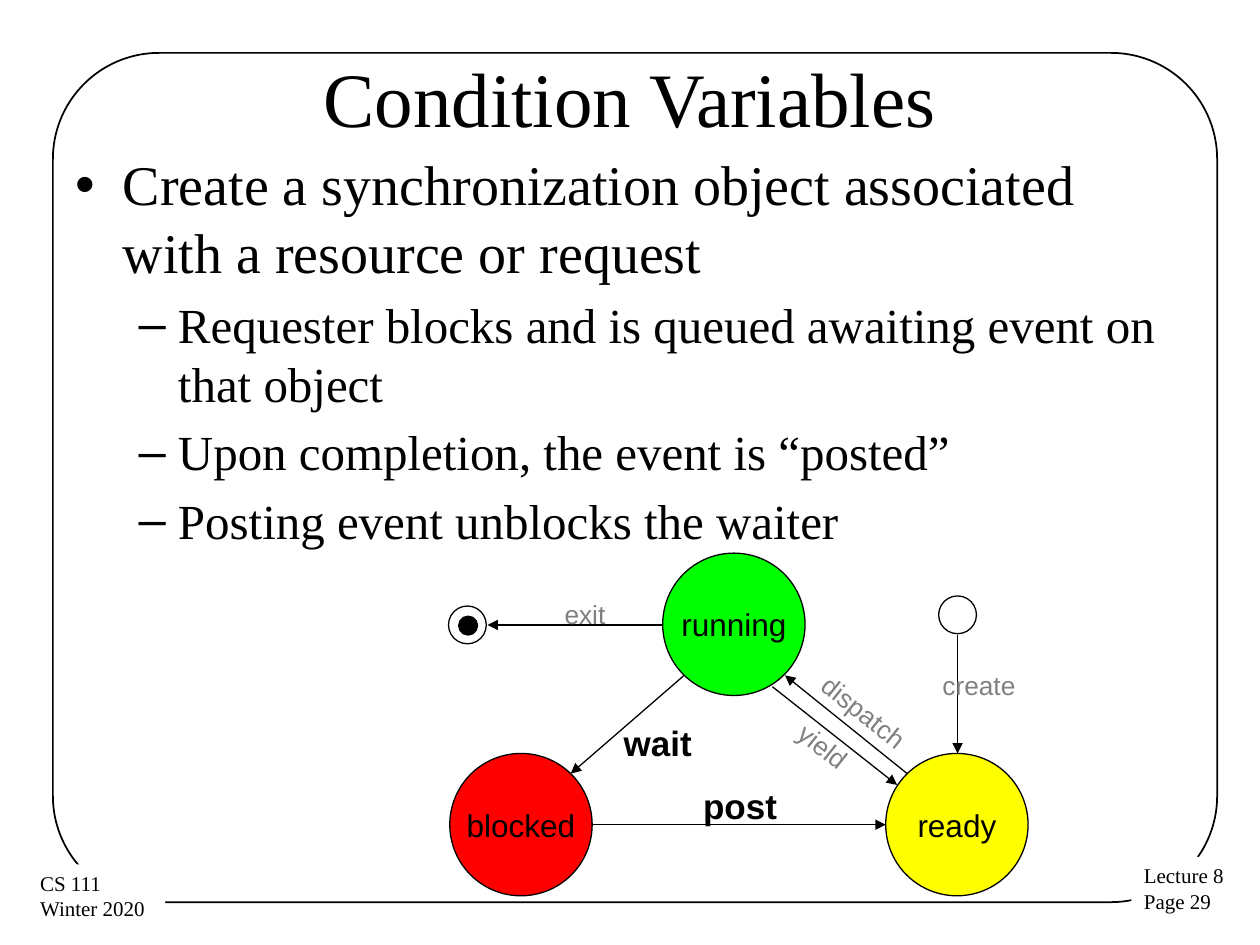
"""Build the Condition Variables slide with its process-state diagram."""
from dataclasses import dataclass
from typing import Optional

from lxml import etree
from pptx import Presentation
from pptx import util as u
from pptx.dml.color import RGBColor
from pptx.enum import shapes, text
from pptx.oxml.ns import qn

COLUMNS, ROWS = 100, 75
STATE_SIZE, MARKER_SIZE, DOT_SIZE = 11.3, 3, 1.5
LABEL_INSET = 0.9


@dataclass(frozen=True)
class Theme:
    """Colours, fonts and point sizes of the slide."""
    ink: str = "000000"
    paper: str = "FFFFFF"
    muted: str = "808080"
    running: str = "00FF00"
    blocked: str = "FF0000"
    ready: str = "FFFF00"
    serif: str = "Times New Roman"
    sans: str = "Arial"
    title: int = 44
    levels: tuple = (32, 28)
    footer: int = 12
    state: int = 18
    label: int = 15
    strong: int = 20
    thin: float = 0.75
    frame: float = 1


THEME = Theme()


@dataclass(frozen=True)
class Circle:
    """A round node, placed by its left column and top row."""
    left: float
    top: float
    size: float
    fill: Optional[str] = None
    caption: str = ""


@dataclass(frozen=True)
class Arrow:
    """A transition from one grid point to another."""
    start: tuple
    end: tuple


@dataclass(frozen=True)
class Label:
    """The name of a transition."""
    caption: str
    area: tuple
    strong: bool = False
    rotation: float = 0


@dataclass(frozen=True)
class Footer:
    """Lines of text that cover part of the frame."""
    lines: str
    area: tuple


BULLETS = (
    (0, "Create a synchronization object associated with a resource or request"),
    (1, "Requester blocks and is queued awaiting event on that object"),
    (1, "Upon completion, the event is “posted”"),
    (1, "Posting event unblocks the waiter"),
)
FOOTERS = (
    Footer("Lecture 8\nPage 29", (89.8, 68, 8.5, 5.1)),
    Footer("CS 111\nWinter 2020", (2.2, 68.6, 10.9, 5.1)),
)
CIRCLES = (
    Circle(35.7, 59.8, STATE_SIZE, THEME.blocked, "blocked"),
    Circle(70.3, 59.8, STATE_SIZE, THEME.ready, "ready"),
    Circle(52.6, 43.9, STATE_SIZE, THEME.running, "running"),
    Circle(35.6, 48.1, MARKER_SIZE),
    Circle(74.5, 47.3, MARKER_SIZE),
    Circle(36.4, 48.9, DOT_SIZE, THEME.ink),
)
ARROWS = (
    Arrow((47, 65.45), (70.3, 65.45)),
    Arrow((54.3, 53.6), (45.3, 61.4)),
    Arrow((72, 61.4), (62.3, 53.6)),
    Arrow((52.6, 49.6), (38.7, 49.6)),
    Arrow((76, 50.4), (76, 59.8)),
    Arrow((61.3, 54.5), (71.2, 62.3)),
)
LABELS = (
    Label("exit", (43.9, 47, 5.1, 3.4)),
    Label("post", (54.9, 61.8, 7.8, 4.3), strong=True),
    Label("create", (73.9, 52.6, 7.7, 3.4)),
    Label("wait", (48.6, 56.8, 7.3, 4.3), strong=True),
    Label("dispatch", (63.8, 54.8, 9.7, 3.4), rotation=38.5),
    Label("yield", (62.3, 57.5, 6.2, 3.4), rotation=38.5),
)

deck = Presentation()
deck.slide_width, deck.slide_height = u.Inches(10), u.Inches(7.5)
page = deck.slides.add_slide(deck.slide_layouts[1])


def across(columns: float) -> int:
    """Convert columns to a horizontal length."""
    return round(deck.slide_width * columns / COLUMNS)


def down(rows: float) -> int:
    """Convert rows to a vertical length."""
    return round(deck.slide_height * rows / ROWS)


def place(area: tuple) -> tuple:
    """Convert left, top, width and height from grid units."""
    left, top, width, height = area
    return across(left), down(top), across(width), down(height)


def style(para, font: str, size: float, colour: str, bold: bool = False) -> None:
    """Format every run of a paragraph."""
    for span in para.runs:
        span.font.name, span.font.size, span.font.bold = font, u.Pt(size), bold
        span.font.color.rgb = RGBColor.from_string(colour)


def add_box(kind, area: tuple, fill: Optional[str], line: Optional[float]):
    """Add a flat shape with an optional fill and outline."""
    box = page.shapes.add_shape(kind, *place(area))
    box.shadow.inherit = False
    if fill:
        box.fill.solid()
        box.fill.fore_color.rgb = RGBColor.from_string(fill)
    else:
        box.fill.background()
    if line:
        box.line.color.rgb = RGBColor.from_string(THEME.ink)
        box.line.width = u.Pt(line)
    else:
        box.line.fill.background()
    return box


def add_footer(footer: Footer) -> None:
    """Add a footer block over the frame."""
    box = add_box(shapes.MSO_SHAPE.RECTANGLE, footer.area, THEME.paper, None)
    box.text_frame.word_wrap = False
    box.text_frame.auto_size = text.MSO_AUTO_SIZE.SHAPE_TO_FIT_TEXT
    box.text_frame.vertical_anchor = text.MSO_ANCHOR.TOP
    box.text_frame.text = footer.lines
    for para in box.text_frame.paragraphs:
        para.alignment = text.PP_ALIGN.LEFT
        style(para, THEME.serif, THEME.footer, THEME.ink)


def add_circle(circle: Circle) -> None:
    """Add a state or a start or end marker."""
    area = (circle.left, circle.top, circle.size, circle.size)
    box = add_box(shapes.MSO_SHAPE.OVAL, area, circle.fill, THEME.thin)
    if circle.caption:
        frame = box.text_frame
        frame.word_wrap = False
        frame.margin_left = frame.margin_right = 0
        frame.text = circle.caption
        frame.paragraphs[0].alignment = text.PP_ALIGN.CENTER
        style(frame.paragraphs[0], THEME.sans, THEME.state, THEME.ink)


def add_arrow(arrow: Arrow) -> None:
    """Add a straight line with a triangular head at its end."""
    (x1, y1), (x2, y2) = arrow.start, arrow.end
    line = page.shapes.add_connector(
        shapes.MSO_CONNECTOR.STRAIGHT, across(x1), down(y1), across(x2), down(y2))
    line.line.color.rgb = RGBColor.from_string(THEME.ink)
    line.line.width = u.Pt(THEME.thin)
    etree.SubElement(line.line._get_or_add_ln(), qn("a:tailEnd"), type="triangle")
    etree.SubElement(line._element.spPr, qn("a:effectLst"))


def add_label(label: Label) -> None:
    """Add the name of a transition, with spare room on its right."""
    box = page.shapes.add_textbox(*place(label.area))
    box.rotation = label.rotation
    frame = box.text_frame
    frame.word_wrap = True
    frame.margin_left, frame.margin_right = across(LABEL_INSET), 0
    frame.text = label.caption
    size, colour = ((THEME.strong, THEME.ink) if label.strong
                    else (THEME.label, THEME.muted))
    style(frame.paragraphs[0], THEME.sans, size, colour, label.strong)


def fill_placeholders() -> None:
    """Place and fill the title and the list, in front of the frame."""
    title, body = page.shapes.title, page.placeholders[1]
    for box, area in ((title, (5, 1.4, 90, 12.5)), (body, (5, 11.4, 90, 33.3))):
        box.left, box.top, box.width, box.height = place(area)
        box.text_frame.auto_size = text.MSO_AUTO_SIZE.NONE
        page.shapes._spTree.append(box._element)
    title.text_frame.text = "Condition Variables"
    style(title.text_frame.paragraphs[0], THEME.serif, THEME.title, THEME.ink)
    body.text_frame.text = "\n".join(caption for _, caption in BULLETS)
    for para, (level, _) in zip(body.text_frame.paragraphs, BULLETS):
        para.level = level
        style(para, THEME.serif, THEME.levels[level], THEME.ink)


outline = add_box(shapes.MSO_SHAPE.ROUNDED_RECTANGLE, (4.2, 4.2, 92.4, 67.4),
                  None, THEME.frame)
outline.adjustments[0] = 0.125
for items, draw in ((FOOTERS, add_footer), (CIRCLES, add_circle),
                    (ARROWS, add_arrow), (LABELS, add_label)):
    for item in items:
        draw(item)
fill_placeholders()
deck.save("out.pptx")
